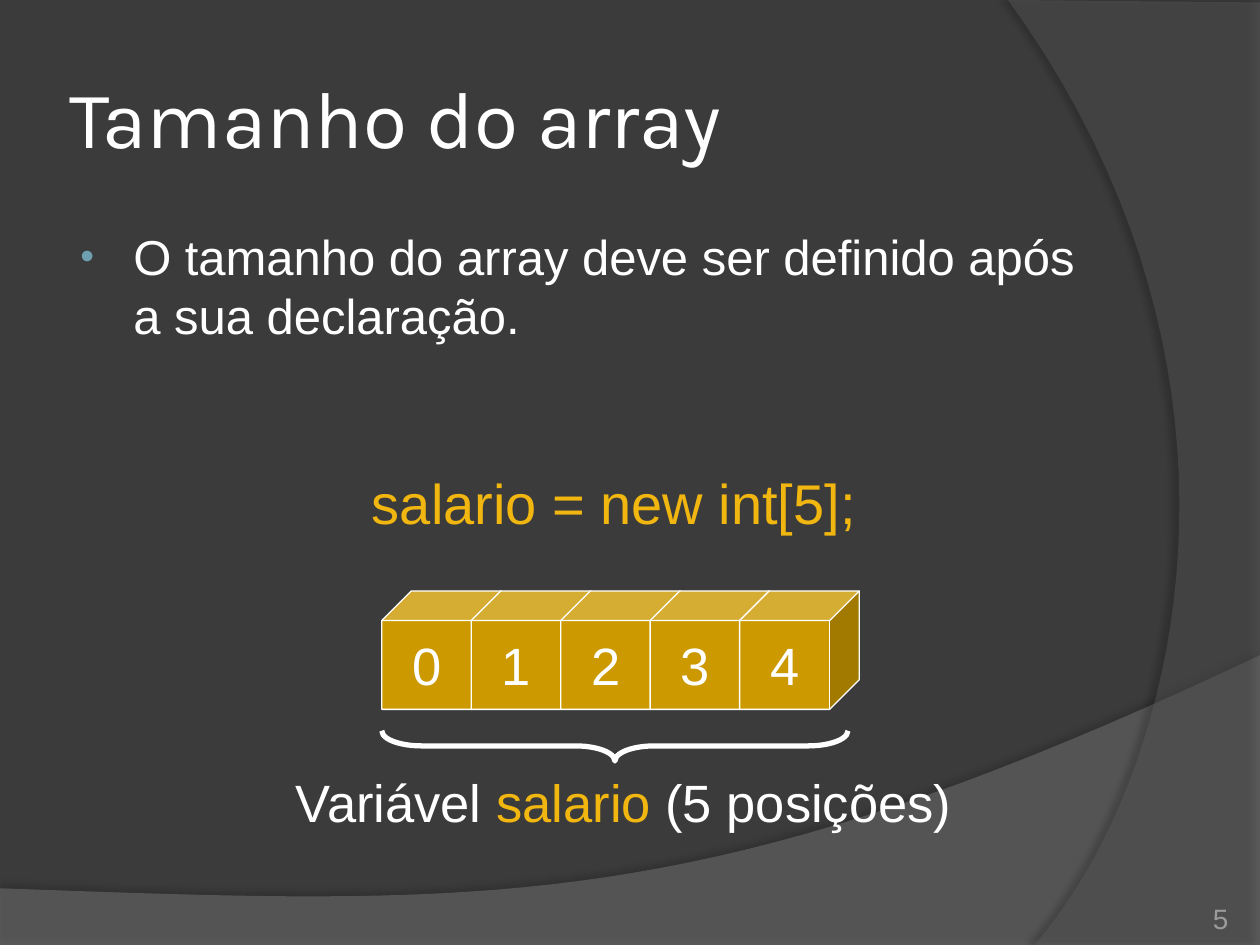
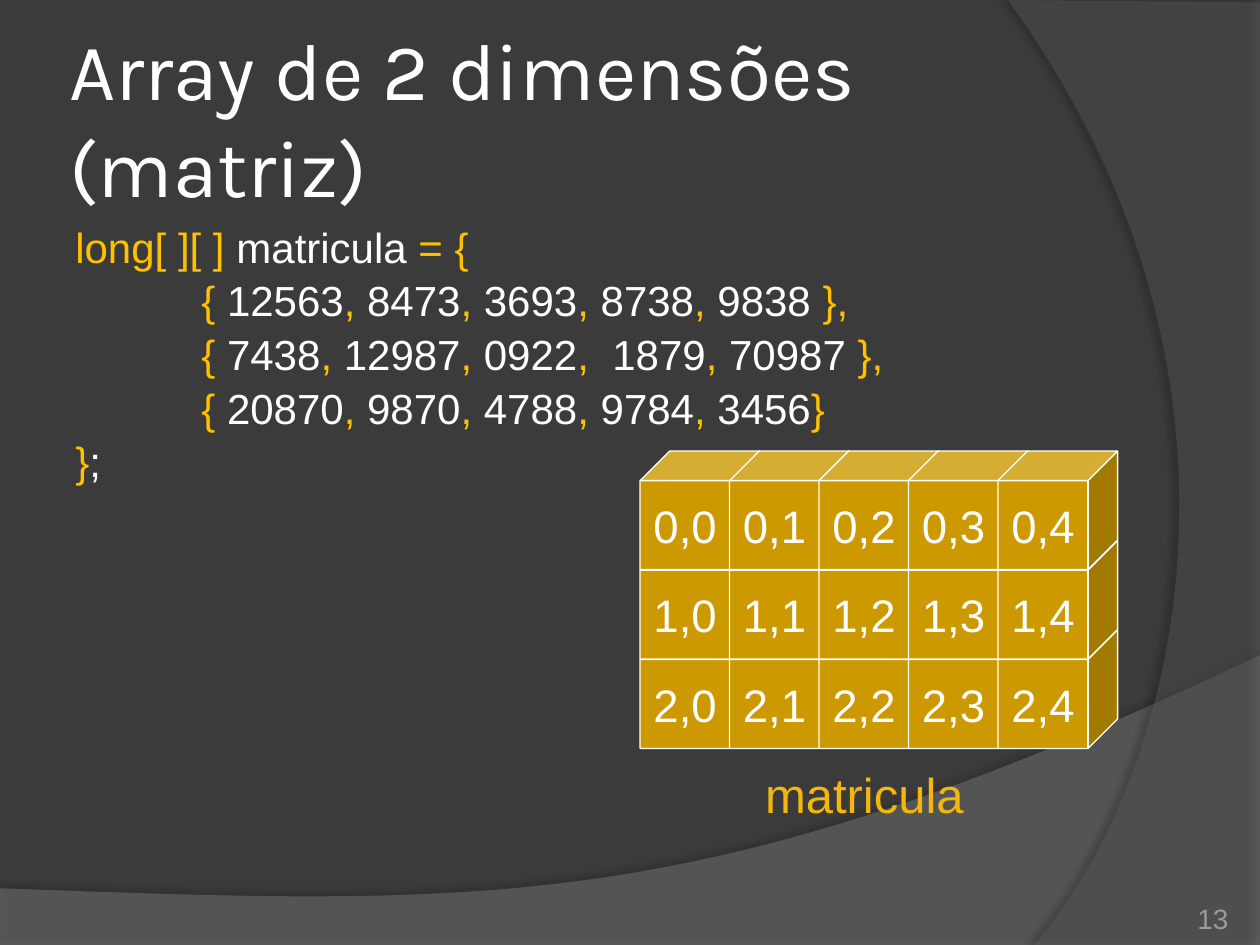
from dataclasses import dataclass, field

from lxml.etree import SubElement
from pptx import Presentation
from pptx.dml.color import RGBColor
from pptx.enum.shapes import MSO_SHAPE
from pptx.enum.text import MSO_ANCHOR, PP_ALIGN
from pptx.oxml.ns import qn
from pptx.util import Inches, Pt

BACKGROUND, WHITE = "3B3B3B", "FFFFFF"
GOLD, CODE_GOLD, CUBE_GOLD = "F1B60F", "FFC000", "CC9900"
BULLET_BLUE, NUMBER_GREY = "6EA0B0", "9D9B9A"
TITLE_FONT, BODY_FONT = "Karla", "Arial"
CUBE_WIDTH, CUBE_HEIGHT, CUBE_PITCH = 0.95, 0.94, 0.71

Point = tuple[float, float]
Run = tuple[str, str]  # text, colour
Box = tuple[float, float, float, float]  # left, top, width, height


@dataclass(frozen=True)
class Swoosh:
    """Translucent background area: outline points around one Bézier edge."""
    before: tuple[Point, ...]
    curve: tuple[Point, Point, Point, Point]
    color: str
    alpha: int
    shadow_alpha: int
    shadow_distance: float
    shadow_angle: int


SWOOSHES = (
    Swoosh(((0, 7.51), (10, 7.51)), ((10, 5.2), (5.59, 7.29), (3.91, 7.19), (0, 7.05)),
           "7F7F7F", 45, 35, 3.5, 270),
    Swoosh(((10, 0.02), (10, 7.5)), ((8.21, 7.5), (9.35, 6.19), (10.18, 3), (8, 0)),
           "5E5E5E", 40, 45, 4, 180),
)


@dataclass(frozen=True)
class TextStyle:
    size: float
    font: str = BODY_FONT
    frame: dict = field(default_factory=dict)
    paragraph: dict = field(default_factory=dict)


def margins(horizontal: float, vertical: float) -> dict:
    return {"margin_left": Inches(horizontal), "margin_right": Inches(horizontal),
            "margin_top": Inches(vertical), "margin_bottom": Inches(vertical)}


def centred(size: float, space: float, anchor=MSO_ANCHOR.TOP) -> TextStyle:
    return TextStyle(
        size,
        frame={"word_wrap": False, "vertical_anchor": anchor, **margins(0.1, 0.05)},
        paragraph={"alignment": PP_ALIGN.CENTER, "space_before": Pt(space)})


TITLE = TextStyle(46, TITLE_FONT, {"word_wrap": True, "vertical_anchor": MSO_ANCHOR.MIDDLE,
                                   **margins(0.05, 0.05)})
BODY = TextStyle(28, frame={"word_wrap": True}, paragraph={"space_before": Pt(30)})
CODE = TextStyle(24, frame={"word_wrap": True},
                 paragraph={"line_spacing": 0.9, "space_before": Pt(4.8)})
NUMBER = TextStyle(16, frame={"word_wrap": True, "vertical_anchor": MSO_ANCHOR.BOTTOM,
                              **margins(0, 0)},
                   paragraph={"alignment": PP_ALIGN.RIGHT})

TITLE_BOX: Box = (0.5, 0.3, 8.17, 1.25)
BODY_BOX: Box = (0.5, 1.75, 8.17, 4.95)
NUMBER_BOX: Box = (8.92, 7.02, 0.83, 0.4)


def rgb(color: str) -> RGBColor:
    return RGBColor.from_string(color)


def apply(target, values: dict) -> None:
    for name, value in values.items():
        setattr(target, name, value)


def write(frame, lines: list[list[Run]], style: TextStyle) -> None:
    apply(frame, style.frame)
    for index, runs in enumerate(lines):
        paragraph = frame.add_paragraph() if index else frame.paragraphs[0]
        apply(paragraph, style.paragraph)
        for text, color in runs:
            run = paragraph.add_run()
            run.text = text
            apply(run.font, {"size": Pt(style.size), "name": style.font})
            run.font.color.rgb = rgb(color)


def add_text(slide, box: Box, lines: list[list[Run]], style: TextStyle):
    frame = slide.shapes.add_textbox(*map(Inches, box)).text_frame
    write(frame, lines, style)
    return frame


def add_bullet(paragraph) -> None:
    properties = paragraph._p.get_or_add_pPr()
    properties.set("marL", str(Inches(0.46)))
    properties.set("indent", str(Inches(-0.42)))
    color = SubElement(properties, qn("a:buClr"))
    SubElement(color, qn("a:srgbClr"), val=BULLET_BLUE)
    SubElement(properties, qn("a:buSzPct"), val="80000")
    SubElement(properties, qn("a:buFont"), typeface=BODY_FONT)
    SubElement(properties, qn("a:buChar"), char="•")


def add_tab_stop(paragraph, position: float) -> None:
    stops = SubElement(paragraph._p.get_or_add_pPr(), qn("a:tabLst"))
    SubElement(stops, qn("a:tab"), pos=str(Inches(position)), algn="l")


def bezier(curve: tuple[Point, Point, Point, Point], steps: int = 40) -> list[Point]:
    points = []
    for step in range(steps + 1):
        t = step / steps
        weights = ((1 - t) ** 3, 3 * t * (1 - t) ** 2, 3 * t * t * (1 - t), t ** 3)
        points.append(tuple(sum(w * p[axis] for w, p in zip(weights, curve))
                            for axis in (0, 1)))
    return points


def add_swoosh(slide, swoosh: Swoosh) -> None:
    start, *outline = [(Inches(x), Inches(y))
                       for x, y in (*swoosh.before, *bezier(swoosh.curve))]
    builder = slide.shapes.build_freeform(*start)
    builder.add_line_segments(outline, close=True)
    shape = builder.convert_to_shape()
    shape.fill.solid()
    shape.fill.fore_color.rgb = rgb(swoosh.color)
    shape.line.fill.background()
    shape.shadow.inherit = False
    # Transparency and soft edge shadow
    properties = shape._element.spPr
    fill = properties.find(qn("a:solidFill")).find(qn("a:srgbClr"))
    SubElement(fill, qn("a:alpha"), val=str(swoosh.alpha * 1000))
    shadow = SubElement(properties.find(qn("a:effectLst")), qn("a:outerShdw"),
                        blurRad=str(Pt(4)), dist=str(Pt(swoosh.shadow_distance)),
                        dir=str(swoosh.shadow_angle * 60000), algn="ctr", rotWithShape="0")
    shade = SubElement(shadow, qn("a:srgbClr"), val="000000")
    SubElement(shade, qn("a:alpha"), val=str(swoosh.shadow_alpha * 1000))


def add_page(deck, title: str, number: int):
    slide = deck.slides.add_slide(deck.slide_layouts[6])
    slide.background.fill.solid()
    slide.background.fill.fore_color.rgb = rgb(BACKGROUND)
    for swoosh in SWOOSHES:
        add_swoosh(slide, swoosh)
    add_text(slide, TITLE_BOX, [[(title, WHITE)]], TITLE)
    add_text(slide, NUMBER_BOX, [[(str(number), NUMBER_GREY)]], NUMBER)
    return slide


def add_cubes(slide, left: float, top: float, labels: list[list[str]], size: float) -> None:
    """Stack rows from the bottom up so each front covers its neighbour's depth."""
    style = centred(size, 7.5, MSO_ANCHOR.MIDDLE)
    for row, row_labels in reversed(list(enumerate(labels))):
        for column, label in enumerate(row_labels):
            cube = slide.shapes.add_shape(
                MSO_SHAPE.CUBE, Inches(left + column * CUBE_PITCH),
                Inches(top + row * CUBE_PITCH), Inches(CUBE_WIDTH), Inches(CUBE_HEIGHT))
            cube.adjustments[0] = 0.25
            cube.shadow.inherit = False
            cube.fill.solid()
            cube.fill.fore_color.rgb = rgb(CUBE_GOLD)
            cube.line.color.rgb = rgb(WHITE)
            cube.line.width = Pt(0.75)
            write(cube.text_frame, [[(label, WHITE)]], style)


def add_brace(slide, box: Box) -> None:
    brace = slide.shapes.add_shape(MSO_SHAPE.RIGHT_BRACE, *map(Inches, box))
    brace.rotation = 90
    brace.adjustments[0], brace.adjustments[1] = 1.306, 0.5
    brace.shadow.inherit = False
    brace.fill.background()
    brace.line.color.rgb = rgb(WHITE)
    brace.line.width = Pt(3)


def matrix_row(values: tuple[str, ...], ending: str) -> list[Run]:
    runs = [("\t{ ", CODE_GOLD)]
    for index, value in enumerate(values):
        if index:
            runs.append((", ", CODE_GOLD))
        runs.append((value, WHITE))
    return [*runs, (ending, CODE_GOLD)]


def build_array_size(deck) -> None:
    slide = add_page(deck, "Tamanho do array", 5)
    rule = add_text(slide, BODY_BOX, [[
        ("O tamanho do array deve ser definido após a sua declaração.", WHITE)]], BODY)
    add_bullet(rule.paragraphs[0])
    add_cubes(slide, 3.03, 4.69, [[str(index) for index in range(5)]], 30)
    add_text(slide, (2.84, 3.67, 4.07, 0.64), [[("salario = new int[5];", GOLD)]],
             centred(32, 9.5))
    add_brace(slide, (4.76, 4.07, 0.24, 3.7))
    add_text(slide, (2.24, 6.06, 5.42, 0.6), [[
        ("Variável ", WHITE), ("salario", GOLD), (" (5 posições)", WHITE)]],
        centred(30, 7.5))


def build_matrix(deck) -> None:
    slide = add_page(deck, "Array de 2 dimensões (matriz)", 13)
    declaration = add_text(slide, BODY_BOX, [
        [("long[ ][ ] ", CODE_GOLD), ("matricula", WHITE), (" = {", CODE_GOLD)],
        matrix_row(("12563", "8473", "3693", "8738", "9838"), " },"),
        matrix_row(("7438", "12987", "0922", " 1879", "70987"), " },"),
        matrix_row(("20870", "9870", "4788", "9784", "3456"), "}"),
        [("}", CODE_GOLD), (";", WHITE)],
    ], CODE)
    for paragraph in declaration.paragraphs:
        add_tab_stop(paragraph, 1)
    labels = [[f"{row},{column}" for column in range(5)] for row in range(3)]
    add_cubes(slide, 5.08, 3.58, labels, 26)
    add_text(slide, (5.97, 6.02, 1.78, 0.57), [[("matricula", GOLD)]], centred(28, 9.5))


def main() -> None:
    deck = Presentation()
    deck.slide_width, deck.slide_height = Inches(10), Inches(7.5)
    build_array_size(deck)
    build_matrix(deck)
    deck.save("out.pptx")


if __name__ == "__main__":
    main()
